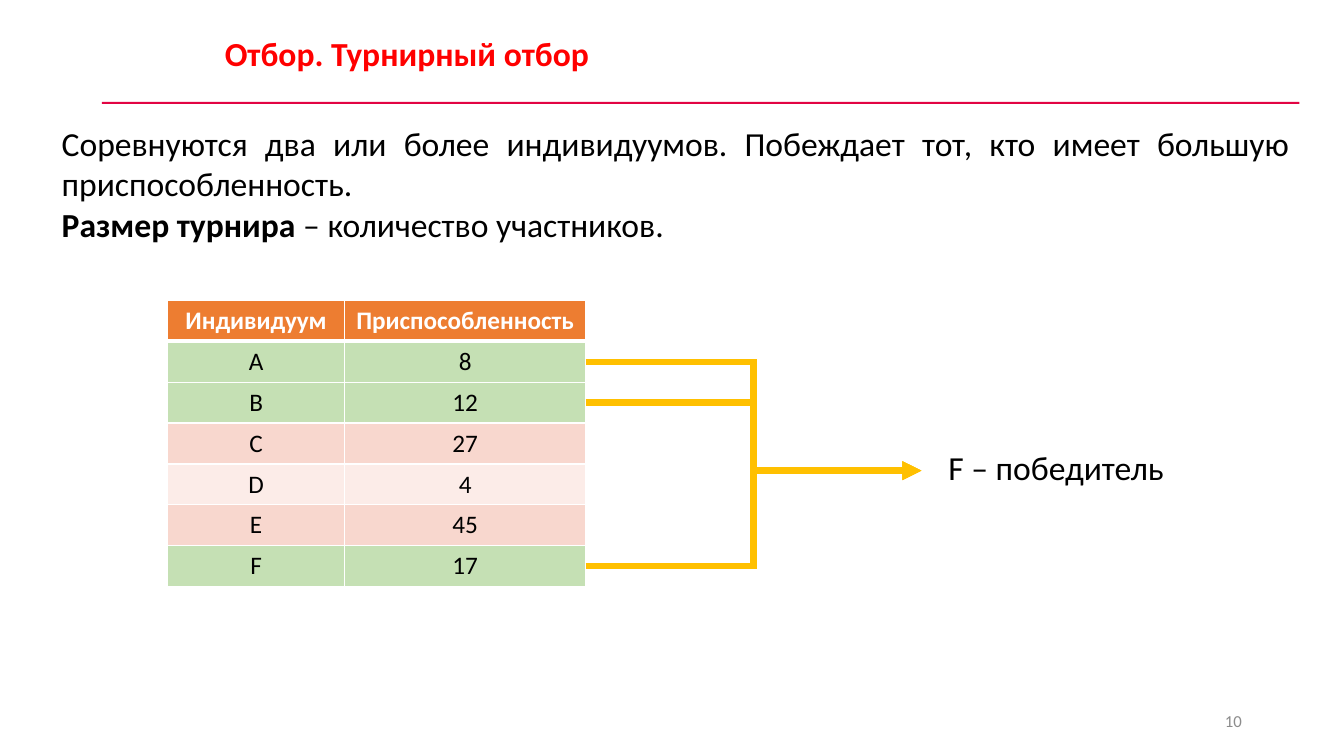
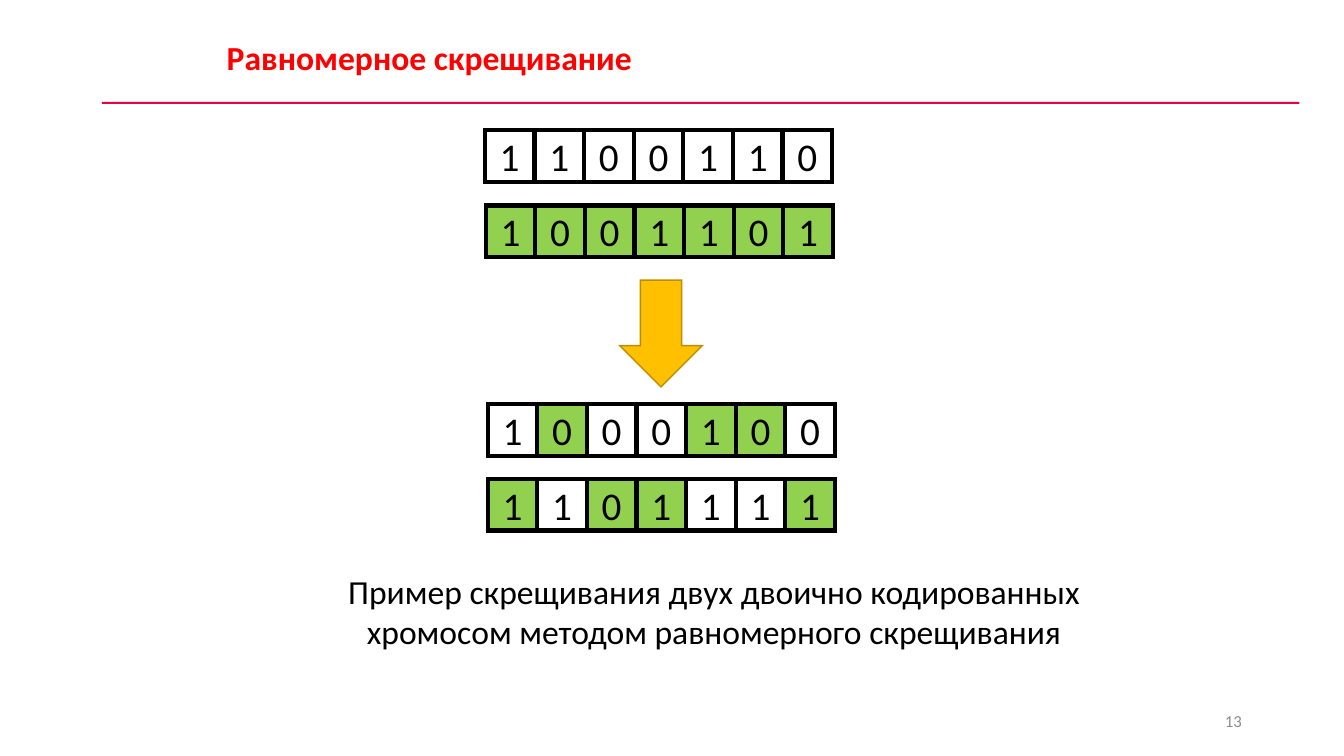
import dataclasses

import lxml.etree
import pptx
import pptx.dml.color
import pptx.enum.shapes
import pptx.enum.text
import pptx.oxml.ns
import pptx.util

Cm = pptx.util.Cm
Pt = pptx.util.Pt
Align = pptx.enum.text.PP_ALIGN
Anchor = pptx.enum.text.MSO_ANCHOR
Shape = pptx.enum.shapes.MSO_SHAPE


@dataclasses.dataclass(frozen=True)
class Theme:
    font: str = "Calibri"
    white: str = "FFFFFF"
    black: str = "000000"
    title: str = "FF0000"
    rule: str = "E20443"
    number: str = "8C8C8C"
    header: str = "ED7D31"
    selected: str = "C5E0B4"
    band_dark: str = "F8D7CE"
    band_light: str = "FCECE8"
    arrow: str = "FFC000"
    arrow_edge: str = "BD8E00"
    gene: str = "92D050"
    text_size: int = 24
    number_size: int = 12
    table_size: int = 18
    gene_size: int = 28


THEME = Theme()


def color(value):
    return pptx.dml.color.RGBColor.from_string(value)


def add_xml(parent, tag, **attributes):
    return lxml.etree.SubElement(parent, pptx.oxml.ns.qn(tag), attributes)


def write_text(frame, text, size=THEME.text_size, fill=THEME.black, bold=False,
               align=Align.LEFT, anchor=Anchor.TOP):
    paragraphs = [[(text, bold)]] if isinstance(text, str) else text
    frame.word_wrap = True
    frame.auto_size = pptx.enum.text.MSO_AUTO_SIZE.NONE
    frame.vertical_anchor = anchor
    for index, runs in enumerate(paragraphs):
        paragraph = frame.add_paragraph() if index else frame.paragraphs[0]
        paragraph.alignment = align
        paragraph.space_before = Pt(0)
        for content, is_bold in runs:
            run = paragraph.add_run()
            run.text = content
            run.font.name = THEME.font
            run.font.size = Pt(size)
            run.font.bold = is_bold
            run.font.color.rgb = color(fill)


def place(shape, left, top, width, height):
    shape.left, shape.top = Cm(left), Cm(top)
    shape.width, shape.height = Cm(width), Cm(height)


def add_text(slide, box, text, **text_format):
    shape = slide.shapes.add_textbox(*map(Cm, box))
    write_text(shape.text_frame, text, **text_format)


def style_line(line, fill, width):
    line.color.rgb = color(fill)
    line.width = Pt(width)
    outline = line._get_or_add_ln()
    add_xml(outline, "a:miter", lim="800000")
    return outline


def add_shape(slide, kind, box, fill, line=None, line_width=1):
    shape = slide.shapes.add_shape(kind, *map(Cm, box))
    shape.shadow.inherit = False
    shape.fill.solid()
    shape.fill.fore_color.rgb = color(fill)
    if line:
        style_line(shape.line, line, line_width)
    else:
        shape.line.fill.background()
    return shape


def add_elbow_arrow(slide, start, end):
    connector = slide.shapes.add_connector(
        pptx.enum.shapes.MSO_CONNECTOR.ELBOW, *map(Cm, start + end))
    outline = style_line(connector.line, THEME.arrow, 4.5)
    add_xml(outline, "a:tailEnd", type="triangle")
    add_xml(connector._element.spPr, "a:effectLst")


def add_base_slide(presentation, layout_name, title, title_position, number):
    layout = presentation.slide_layouts.get_by_name(layout_name)
    slide = presentation.slides.add_slide(layout)
    add_shape(slide, Shape.RECTANGLE, (2.57, 2.57, 30.18, 0.05), THEME.rule)
    place(slide.shapes.title, *title_position, 23.44, 1.27)
    write_text(slide.shapes.title.text_frame, title, fill=THEME.title, bold=True)
    add_text(slide, (23.93, 17.65, 7.62, 1.02), str(number),
             size=THEME.number_size, fill=THEME.number,
             align=Align.RIGHT, anchor=Anchor.MIDDLE)
    return slide


def fill_body(slide, box, text):
    body = slide.placeholders[1]
    place(body, *box)
    write_text(body.text_frame, text, align=Align.JUSTIFY)
    for paragraph in body.text_frame.paragraphs:
        properties = paragraph._p.get_or_add_pPr()
        properties.set("marL", "0")
        properties.set("indent", "0")
        add_xml(properties, "a:buNone")


def set_borders(cell, top, bottom):
    properties = cell._tc.get_or_add_tcPr()
    widths = {"a:lnL": 1, "a:lnR": 1, "a:lnT": top, "a:lnB": bottom}
    for tag, width in widths.items():
        border = add_xml(properties, tag, w=str(Pt(width)))
        add_xml(add_xml(border, "a:solidFill"), "a:srgbClr", val=THEME.white)


def add_table(slide, left, top, column_widths, row_height, rows, row_fills):
    frame = slide.shapes.add_table(
        len(rows), len(column_widths), Cm(left), Cm(top),
        Cm(sum(column_widths)), Cm(row_height * len(rows)))
    table = frame.table
    table.horz_banding = False
    for column, width in zip(table.columns, column_widths):
        column.width = Cm(width)
    for row_index, (values, fill) in enumerate(zip(rows, row_fills)):
        is_header = row_index == 0
        table.rows[row_index].height = Cm(row_height)
        for column_index, value in enumerate(values):
            cell = table.cell(row_index, column_index)
            set_borders(cell, 3 if row_index == 1 else 1, 3 if is_header else 1)
            cell.fill.solid()
            cell.fill.fore_color.rgb = color(fill)
            cell.vertical_anchor = Anchor.MIDDLE
            write_text(cell.text_frame, value, size=THEME.table_size,
                       fill=THEME.white if is_header else THEME.black,
                       bold=is_header, align=Align.CENTER, anchor=Anchor.MIDDLE)


def add_chromosome(slide, left, top, genes):
    gene_step = 1.25
    for index, (bit, fill) in enumerate(genes):
        box = (left + index * gene_step, top, gene_step, 1.3)
        shape = add_shape(slide, Shape.RECTANGLE, box, fill, THEME.black, 3)
        write_text(shape.text_frame, bit, size=THEME.gene_size,
                   align=Align.CENTER, anchor=Anchor.MIDDLE)


def build_tournament_slide(presentation):
    slide = add_base_slide(presentation, "Title and Content",
                           "Отбор. Турнирный отбор", (5.41, 0.71), 10)
    fill_body(slide, (1.3, 2.97, 31.45, 4.19), [
        [("Соревнуются два или более индивидуумов. Побеждает тот, "
          "кто имеет большую приспособленность.", False)],
        [("Размер турнира", True), (" – количество участников.", False)],
    ])
    rows = [("Индивидуум", "Приспособленность"), ("A", "8"), ("B", "12"),
            ("C", "27"), ("D", "4"), ("E", "45"), ("F", "17")]
    participants = (1, 2, 6)
    bands = (THEME.band_light, THEME.band_dark)
    row_fills = [THEME.header] + [
        THEME.selected if index in participants else bands[index % 2]
        for index in range(1, len(rows))]
    left, top, row_height = 4.22, 7.57, 1.03
    column_widths = (4.47, 6.07)
    add_table(slide, left, top, column_widths, row_height, rows, row_fills)
    for index in participants:
        row_middle = top + (index + 0.5) * row_height
        add_elbow_arrow(slide, (left + sum(column_widths), row_middle), (23.22, 11.86))
    add_text(slide, (23.65, 11.13, 7.19, 1.27), "F – победитель", align=Align.JUSTIFY)


def build_crossover_slide(presentation):
    slide = add_base_slide(presentation, "Title Only",
                           "Равномерное скрещивание", (5.46, 0.81), 13)
    first_parent = [(bit, THEME.white) for bit in "1100110"]
    second_parent = [(bit, THEME.gene) for bit in "1001101"]
    swaps = [flag == "1" for flag in "0100110"]
    pairs = list(zip(first_parent, second_parent, swaps))
    first_child = [second if swap else first for first, second, swap in pairs]
    second_child = [first if swap else second for first, second, swap in pairs]
    add_chromosome(slide, 12.22, 3.28, first_parent)
    add_chromosome(slide, 12.24, 5.18, second_parent)
    add_shape(slide, Shape.DOWN_ARROW, (15.62, 7.06, 2.08, 2.69),
              THEME.arrow, THEME.arrow_edge)
    add_chromosome(slide, 12.29, 10.19, first_child)
    add_chromosome(slide, 12.29, 12.07, second_child)
    add_text(slide, (8.05, 14.25, 19.89, 2.31),
             "Пример скрещивания двух двоично кодированных "
             "хромосом методом равномерного скрещивания", align=Align.CENTER)


def main():
    presentation = pptx.Presentation()
    presentation.slide_width = Cm(33.87)
    presentation.slide_height = Cm(19.05)
    build_tournament_slide(presentation)
    build_crossover_slide(presentation)
    presentation.save("out.pptx")


if __name__ == "__main__":
    main()
